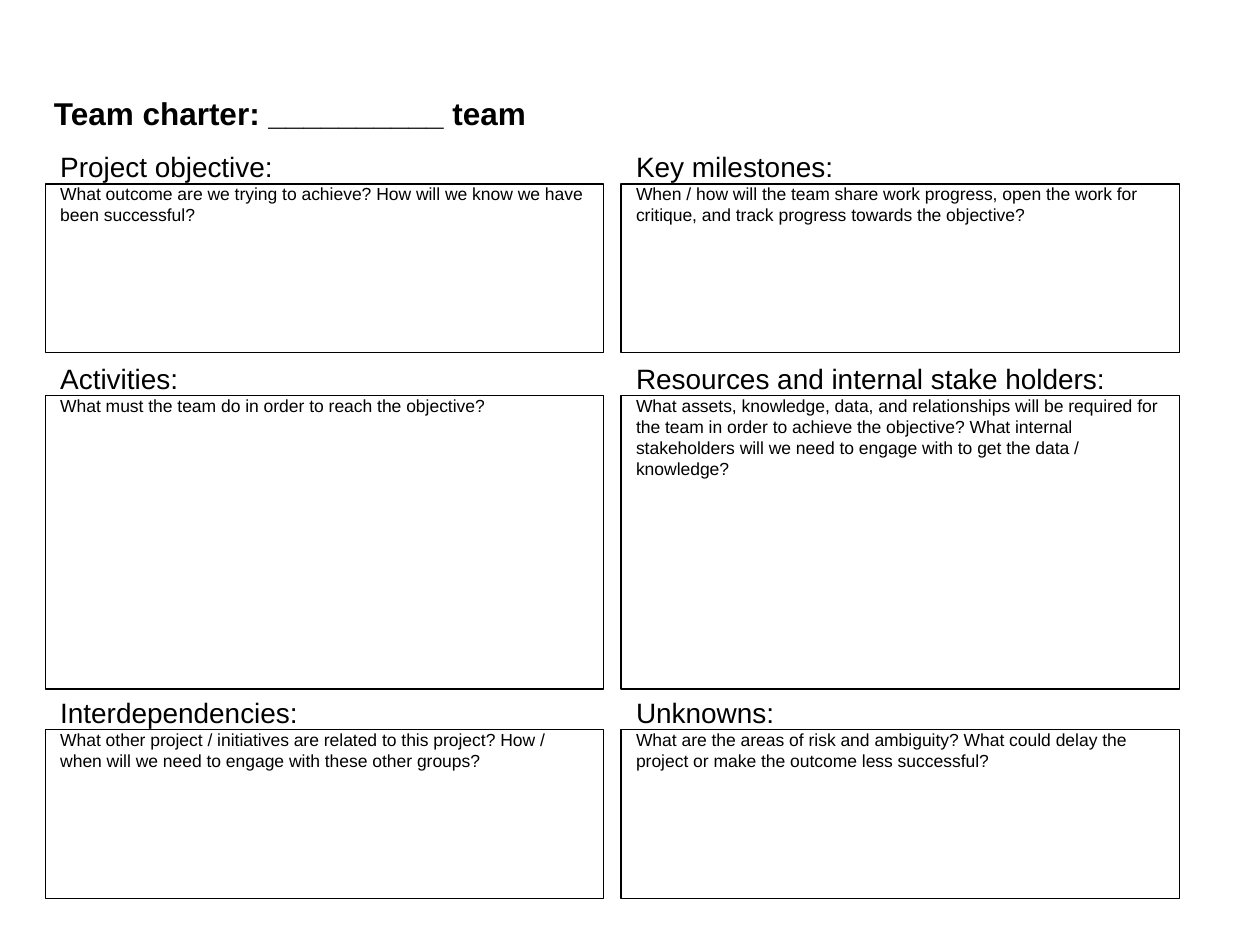
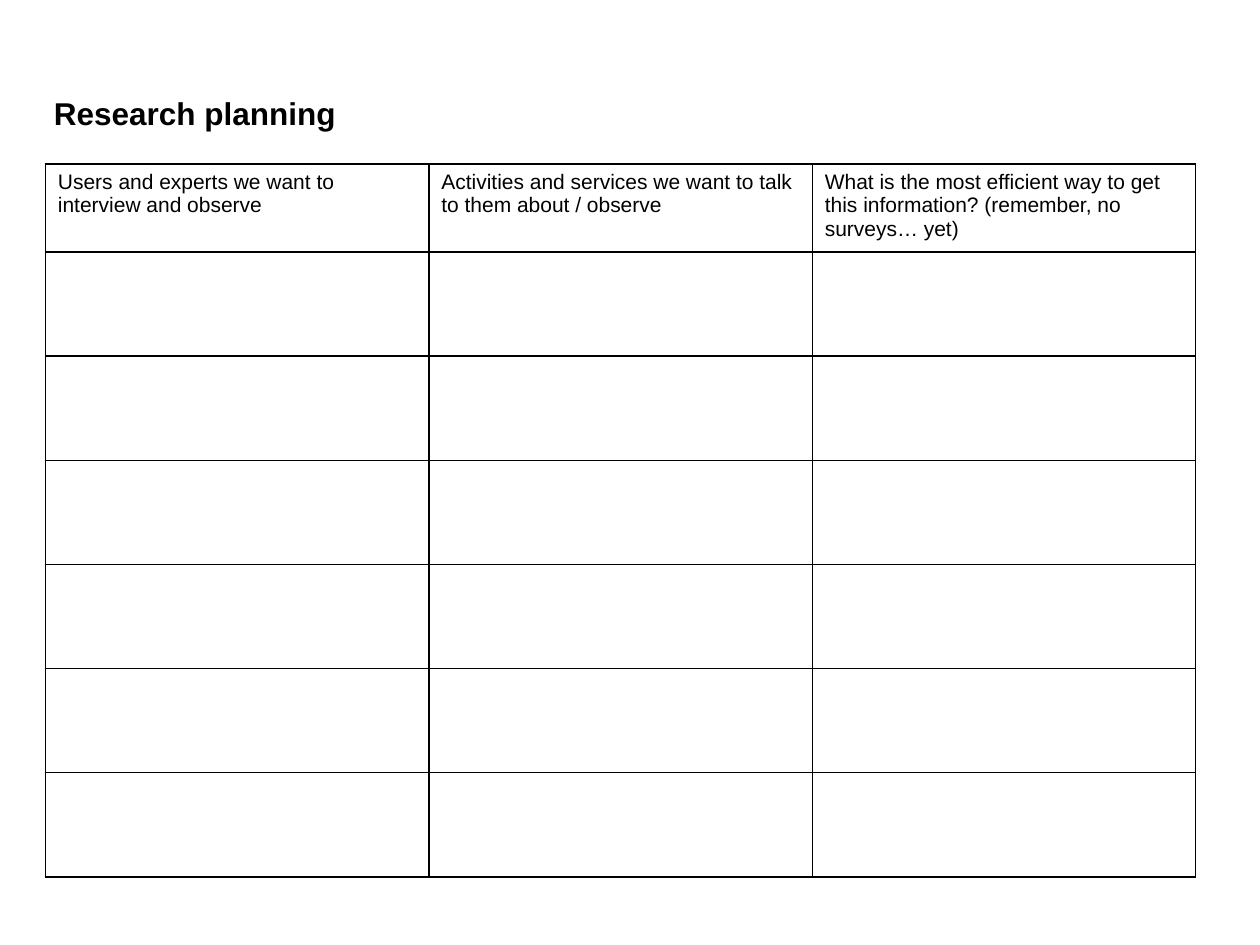
from dataclasses import dataclass

from lxml import etree
from pptx import Presentation
from pptx import util as u
from pptx.dml.color import RGBColor
from pptx.enum import shapes, text
from pptx.oxml.ns import qn

# Shared style
COLOURS = {"ink": "000000", "paper": "FFFFFF"}
FONT = "Arial"
TITLE_SIZE, HEADING_SIZE, CELL_SIZE, PROMPT_SIZE = 18, 16, 12, 10

# Shared grid, in inches
SLIDE_WIDTH, SLIDE_HEIGHT = 10, 7.5
LEFT = 0.36
COLUMN_WIDTH, COLUMN_STEP = 4.43, 4.57
HEADING_HEIGHT = 0.32
TEXT_INDENT, TEXT_WIDTH = 0.02, 4.4


@dataclass(frozen=True)
class Section:
    heading: str
    prompt: str


@dataclass(frozen=True)
class Band:
    """One row of the charter: its top, box height and two sections."""
    top: float
    box_height: float
    sections: tuple[Section, Section]


CHARTER = (
    Band(1.14, 1.34, (
        Section("Project objective:",
                "What outcome are we trying to achieve? How will we know we have "
                "been successful?"),
        Section("Key milestones:",
                "When / how will the team share work progress, open the work for "
                "critique, and track progress towards the objective?"))),
    Band(2.82, 2.33, (
        Section("Activities:",
                "What must the team do in order to reach the objective?"),
        Section("Resources and internal stake holders:",
                "What assets, knowledge, data, and relationships will be required for "
                "the team in order to achieve the objective? What internal stakeholders "
                "will we need to engage with to get the data / knowledge?"))),
    Band(5.47, 1.34, (
        Section("Interdependencies:",
                "What other project / initiatives are related to this project? How / "
                "when will we need to engage with these other groups?"),
        Section("Unknowns:",
                "What are the areas of risk and ambiguity? What could delay the project "
                "or make the outcome less successful?"))),
)

RESEARCH_HEADINGS = (
    "Users and experts we want to interview and observe",
    "Activities and services we want to talk to them about / observe",
    "What is the most efficient way to get this information? "
    "(remember, no surveys… yet)",
)
TABLE_TOP, TABLE_WIDTH, TABLE_HEIGHT = 1.3, 9.13, 5.58
HEADER_HEIGHT, EMPTY_ROWS = 0.62, 6


def colour(name: str) -> RGBColor:
    return RGBColor.from_string(COLOURS[name])


def add_run(paragraph, words: str, size: float, bold: bool = False) -> None:
    run = paragraph.add_run()
    run.text = words
    run.font.name = FONT
    run.font.size = u.Pt(size)
    run.font.bold = bold
    run.font.color.rgb = colour("ink")


def add_text_box(slide, left: float, top: float, width: float, height: float):
    shape = slide.shapes.add_textbox(*map(u.Inches, (left, top, width, height)))
    shape.text_frame.word_wrap = True
    return shape.text_frame


def add_titled_slide(presentation, title: str):
    slide = presentation.slides.add_slide(presentation.slide_layouts[6])
    slide.background.fill.solid()
    slide.background.fill.fore_color.rgb = colour("paper")
    frame = add_text_box(slide, 0.33, 0.67, 8.83, 0.45)
    frame.vertical_anchor = text.MSO_ANCHOR.MIDDLE
    add_run(frame.paragraphs[0], title, TITLE_SIZE, bold=True)
    return slide


def add_section(slide, section: Section, column: int, band: Band) -> None:
    left = LEFT + column * COLUMN_STEP
    # Heading above the box, prompt inside it
    frame = add_text_box(slide, left + TEXT_INDENT, band.top, TEXT_WIDTH, 0.71)
    frame.auto_size = text.MSO_AUTO_SIZE.SHAPE_TO_FIT_TEXT
    add_run(frame.paragraphs[0], section.heading, HEADING_SIZE)
    add_run(frame.add_paragraph(), section.prompt, PROMPT_SIZE)
    # Outlined writing space
    shape = slide.shapes.add_shape(
        shapes.MSO_SHAPE.RECTANGLE, u.Inches(left), u.Inches(band.top + HEADING_HEIGHT),
        u.Inches(COLUMN_WIDTH), u.Inches(band.box_height))
    shape.shadow.inherit = False
    shape.fill.background()
    shape.line.color.rgb = colour("ink")
    shape.line.width = u.Pt(0.75)


def style_cell(cell) -> None:
    """Black one-point borders on all sides, no fill."""
    properties = cell._tc.get_or_add_tcPr()
    for side in ("a:lnL", "a:lnR", "a:lnT", "a:lnB"):
        line = etree.SubElement(properties, qn(side), w=str(u.Pt(1)))
        fill = etree.SubElement(line, qn("a:solidFill"))
        etree.SubElement(fill, qn("a:srgbClr"), val=COLOURS["ink"])
    cell.fill.background()


def add_research_table(slide) -> None:
    columns = len(RESEARCH_HEADINGS)
    table = slide.shapes.add_table(
        EMPTY_ROWS + 1, columns, u.Inches(LEFT), u.Inches(TABLE_TOP),
        u.Inches(TABLE_WIDTH), u.Inches(TABLE_HEIGHT)).table
    table.first_row = table.horz_banding = False
    for column in table.columns:
        column.width = u.Inches(TABLE_WIDTH / columns)
    for index, row in enumerate(table.rows):
        row.height = u.Inches((TABLE_HEIGHT - HEADER_HEIGHT) / EMPTY_ROWS
                              if index else HEADER_HEIGHT)
    for cell in table.iter_cells():
        style_cell(cell)
    for column, heading in enumerate(RESEARCH_HEADINGS):
        add_run(table.cell(0, column).text_frame.paragraphs[0], heading, CELL_SIZE)


presentation = Presentation()
presentation.slide_width = u.Inches(SLIDE_WIDTH)
presentation.slide_height = u.Inches(SLIDE_HEIGHT)

# Slide 1: team charter
charter_slide = add_titled_slide(presentation, "Team charter: __________ team")
for band in CHARTER:
    for column, section in enumerate(band.sections):
        add_section(charter_slide, section, column, band)

# Slide 2: research planning
research_slide = add_titled_slide(presentation, "Research planning")
add_research_table(research_slide)

presentation.save("out.pptx")
